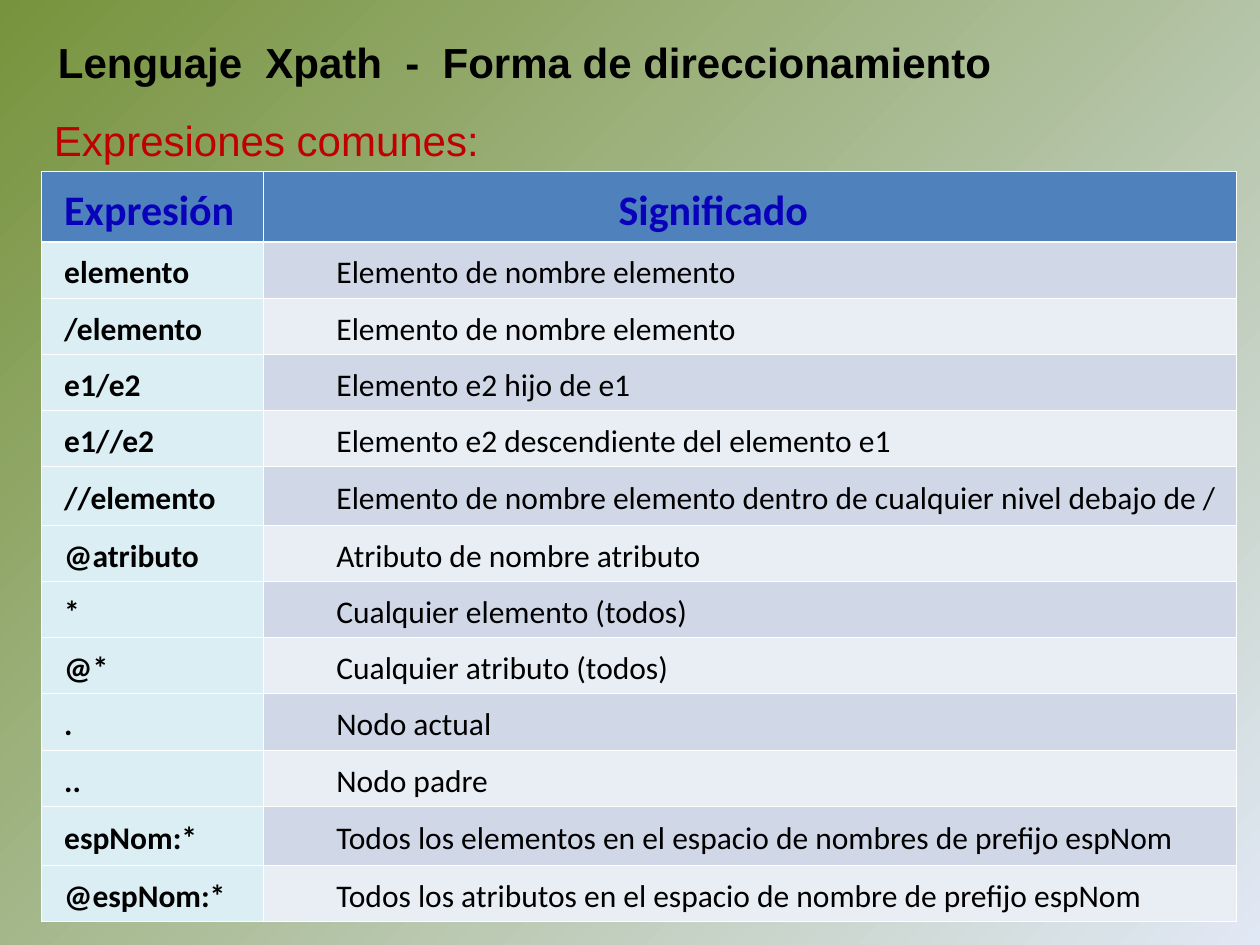
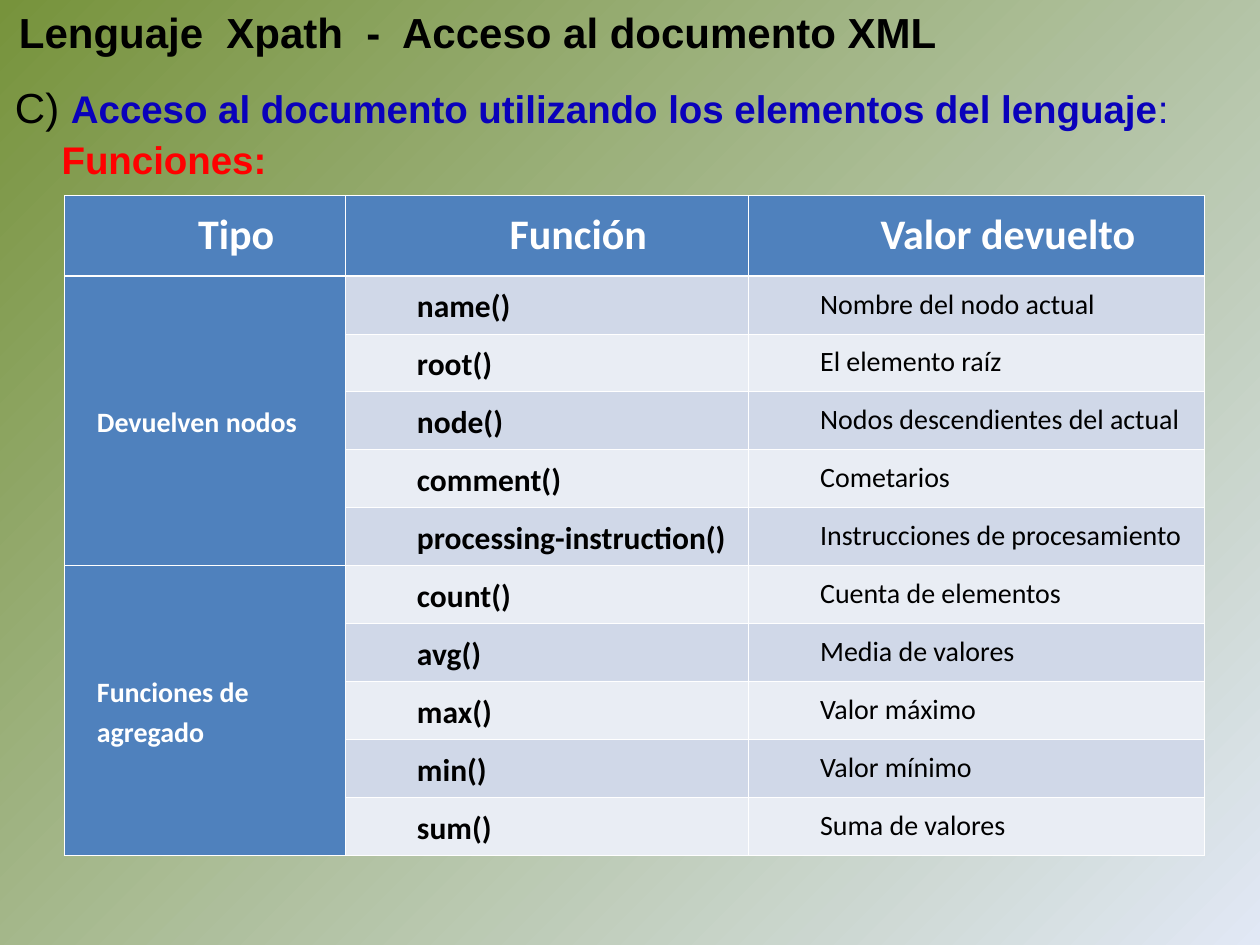
from dataclasses import dataclass
from typing import Optional

from pptx import Presentation
from pptx.dml.color import RGBColor as RGB
from pptx.enum.text import MSO_ANCHOR as Anchor, MSO_AUTO_SIZE as AutoSize, PP_ALIGN as Align
from pptx.oxml.xmlchemy import OxmlElement
from pptx.util import Inches, Pt


@dataclass(frozen=True)
class Theme:
    heading_font: str = "Arial"
    table_font: str = "Calibri"
    heading: int = 24
    subheading: int = 22
    body: int = 18
    small: int = 16
    black: str = "000000"
    white: str = "FFFFFF"
    blue: str = "0A01BB"
    dark_red: str = "C00000"
    red: str = "FF0000"
    header_fill: str = "4F81BD"
    key_fill: str = "DBEEF4"
    bands: tuple[str, str] = ("D0D8E8", "E9EDF4")
    gradient: tuple[str, str] = ("77933C", "E1E8F5")
    thin: float = 0.45
    thick: float = 1.47


THEME = Theme()


@dataclass(frozen=True)
class Column:
    heading: str
    width: float
    size: int
    bold: bool
    indent: float = 0.5
    heading_indent: float = 0.5
    color: str = THEME.black
    fill: Optional[str] = None  # None: alternating bands
    anchor: Anchor = Anchor.TOP


@dataclass(frozen=True)
class TableStyle:
    left: float
    top: float
    row_heights: list[float]
    margin: float
    heading_color: str
    heading_align: Align
    heading_anchor: Anchor


EXPRESSION_COLUMNS = [
    Column("Expresión", 1.76, THEME.body, True, 0.1, 0.1,
           fill=THEME.key_fill, anchor=Anchor.MIDDLE),
    Column("Significado", 7.72, THEME.body, False, 0.5, 2.74, anchor=Anchor.MIDDLE),
]
EXPRESSIONS = [
    ("elemento", "Elemento de nombre elemento"),
    ("/elemento", "Elemento de nombre elemento"),
    ("e1/e2", "Elemento e2 hijo de e1"),
    ("e1//e2", "Elemento e2 descendiente del elemento e1"),
    ("//elemento", "Elemento de nombre elemento dentro de cualquier nivel debajo de /"),
    ("@atributo", "Atributo de nombre atributo"),
    ("*", "Cualquier elemento (todos)"),
    ("@*", "Cualquier atributo (todos)"),
    (".", "Nodo actual"),
    ("..", "Nodo padre"),
    ("espNom:*", "Todos los elementos en el espacio de nombres de prefijo espNom"),
    ("@espNom:*", "Todos los atributos en el espacio de nombre de prefijo espNom"),
]
EXPRESSION_STYLE = TableStyle(
    0.33, 1.36, [0.55] + [0.43] * 4 + [0.47] + [0.43] * 5 + [0.47, 0.43],
    0.08, THEME.blue, Align.LEFT, Anchor.BOTTOM)

FUNCTION_COLUMNS = [
    Column("Tipo", 2.23, THEME.small, True, 0.19, color=THEME.white,
           fill=THEME.header_fill, anchor=Anchor.MIDDLE),
    Column("Función", 3.2, THEME.body, True),
    Column("Valor devuelto", 3.62, THEME.small, False),
]
FUNCTION_GROUPS = {
    "Devuelven nodos": [
        ("name()", "Nombre del nodo actual"),
        ("root()", "El elemento raíz"),
        ("node()", "Nodos descendientes del actual"),
        ("comment()", "Cometarios"),
        ("processing-instruction()", "Instrucciones de procesamiento"),
    ],
    "Funciones de agregado": [
        ("count()", "Cuenta de elementos"),
        ("avg()", "Media de valores"),
        ("max()", "Valor máximo"),
        ("min()", "Valor mínimo"),
        ("sum()", "Suma de valores"),
    ],
}
FUNCTION_STYLE = TableStyle(0.51, 1.55, [0.64] + [0.46] * 10,
                            0.07, THEME.white, Align.CENTER, Anchor.TOP)


def set_font(item, name: str, size: int, color: str, bold: bool = False) -> None:
    """Format a paragraph or a run."""
    font = item.font
    font.name, font.size, font.bold = name, Pt(size), bold
    font.color.rgb = RGB.from_string(color)


def set_indent(p, inches: float) -> None:
    pPr = p._p.get_or_add_pPr()
    pPr.set("marL", str(Inches(inches)))
    pPr.set("indent", "0")


def place(sp, left: float, top: float, width: float, height: float) -> None:
    sp.left, sp.top, sp.width, sp.height = map(Inches, (left, top, width, height))


def set_background(master) -> None:
    fill = master.background.fill
    fill.gradient()
    fill.gradient_angle = 315
    for stop, color in zip(fill.gradient_stops, THEME.gradient):
        stop.color.rgb = RGB.from_string(color)


def add_titled_slide(prs, text: str, left: float, top: float, width: float):
    s = prs.slides.add_slide(prs.slide_layouts[5])
    place(s.shapes.title, left, top, width, 0.5)
    tf = s.shapes.title.text_frame
    tf.text = text
    tf.word_wrap, tf.vertical_anchor = False, Anchor.TOP
    tf.auto_size = AutoSize.SHAPE_TO_FIT_TEXT
    p = tf.paragraphs[0]
    p.alignment = Align.LEFT
    set_font(p, THEME.heading_font, THEME.heading, THEME.black, True)
    return s


def add_text_box(s, left: float, top: float, width: float, height: float):
    tf = s.shapes.add_textbox(*map(Inches, (left, top, width, height))).text_frame
    tf.word_wrap = True
    tf.auto_size = AutoSize.SHAPE_TO_FIT_TEXT
    return tf


def set_borders(cell, row: int) -> None:
    """White thin borders, with a thick rule under the heading row."""
    tcPr = cell._tc.get_or_add_tcPr()
    widths = {"lnL": THEME.thin, "lnR": THEME.thin,
              "lnT": THEME.thick if row == 1 else THEME.thin,
              "lnB": THEME.thick if row == 0 else THEME.thin}
    for tag, width in widths.items():
        ln = OxmlElement(f"a:{tag}")
        ln.set("w", str(Pt(width)))
        fill, color = OxmlElement("a:solidFill"), OxmlElement("a:srgbClr")
        color.set("val", THEME.white)
        fill.append(color)
        ln.append(fill)
        tcPr.append(ln)


def format_cell(cell, text: str, row: int, column: Column, style: TableStyle) -> None:
    is_heading = row == 0
    set_borders(cell, row)
    cell.fill.solid()
    fill = THEME.header_fill if is_heading else column.fill or THEME.bands[(row - 1) % 2]
    cell.fill.fore_color.rgb = RGB.from_string(fill)
    cell.margin_left = cell.margin_right = Inches(style.margin)
    cell.margin_top = cell.margin_bottom = Inches(0.05)
    cell.vertical_anchor = style.heading_anchor if is_heading else column.anchor
    cell.text = text
    p = cell.text_frame.paragraphs[0]
    p.line_spacing = 1.15
    p.alignment = style.heading_align if is_heading else Align.LEFT
    set_indent(p, column.heading_indent if is_heading else column.indent)
    if is_heading:
        set_font(p, THEME.table_font, THEME.heading, style.heading_color, True)
    else:
        set_font(p, THEME.table_font, column.size, column.color, column.bold)


def add_styled_table(s, columns: list[Column], rows: list[tuple], style: TableStyle):
    size = (sum(c.width for c in columns), sum(style.row_heights))
    table = s.shapes.add_table(len(rows) + 1, len(columns),
                               *map(Inches, (style.left, style.top, *size))).table
    for i, column in enumerate(columns):
        table.columns[i].width = Inches(column.width)
    for i, height in enumerate(style.row_heights):
        table.rows[i].height = Inches(height)
    for i, row in enumerate([tuple(c.heading for c in columns), *rows]):
        for j, text in enumerate(row):
            format_cell(table.cell(i, j), text, i, columns[j], style)
    return table


def add_expressions_slide(prs) -> None:
    s = add_titled_slide(prs, "Lenguaje  Xpath  -  Forma de direccionamiento", 0.36, 0.24, 7.61)
    add_styled_table(s, EXPRESSION_COLUMNS, EXPRESSIONS, EXPRESSION_STYLE)
    tf = add_text_box(s, 0.33, 0.86, 4.12, 0.5)
    tf.vertical_anchor = Anchor.MIDDLE
    tf.text = "Expresiones comunes:"
    set_font(tf.paragraphs[0], THEME.heading_font, THEME.heading, THEME.dark_red)


def add_functions_slide(prs) -> None:
    s = add_titled_slide(prs, "Lenguaje  Xpath  -  Acceso al documento XML", 0.05, 0, 7.49)
    tf = add_text_box(s, 0.02, 0.6, 9.98, 1.27)
    for text, size, color, bold in [
        ("C) ", THEME.heading, THEME.black, False),
        ("Acceso al documento utilizando los elementos del lenguaje",
         THEME.subheading, THEME.blue, True),
        (":", THEME.subheading, THEME.blue, False),
    ]:
        r = tf.paragraphs[0].add_run()
        r.text = text
        set_font(r, THEME.heading_font, size, color, bold)
    p = tf.add_paragraph()
    p.text = "Funciones:"
    p.space_before = Pt(2)
    set_indent(p, 0.37)
    set_font(p, THEME.heading_font, THEME.subheading, THEME.red, True)

    rows = [(kind if i == 0 else "", *function)
            for kind, functions in FUNCTION_GROUPS.items()
            for i, function in enumerate(functions)]
    table = add_styled_table(s, FUNCTION_COLUMNS, rows, FUNCTION_STYLE)
    first = 1
    for functions in FUNCTION_GROUPS.values():
        last = first + len(functions) - 1
        table.cell(first, 0).merge(table.cell(last, 0))
        first = last + 1


def main() -> None:
    prs = Presentation()
    prs.slide_width, prs.slide_height = Inches(10), Inches(7.5)
    set_background(prs.slide_master)
    add_expressions_slide(prs)
    add_functions_slide(prs)
    prs.save("out.pptx")


if __name__ == "__main__":
    main()
